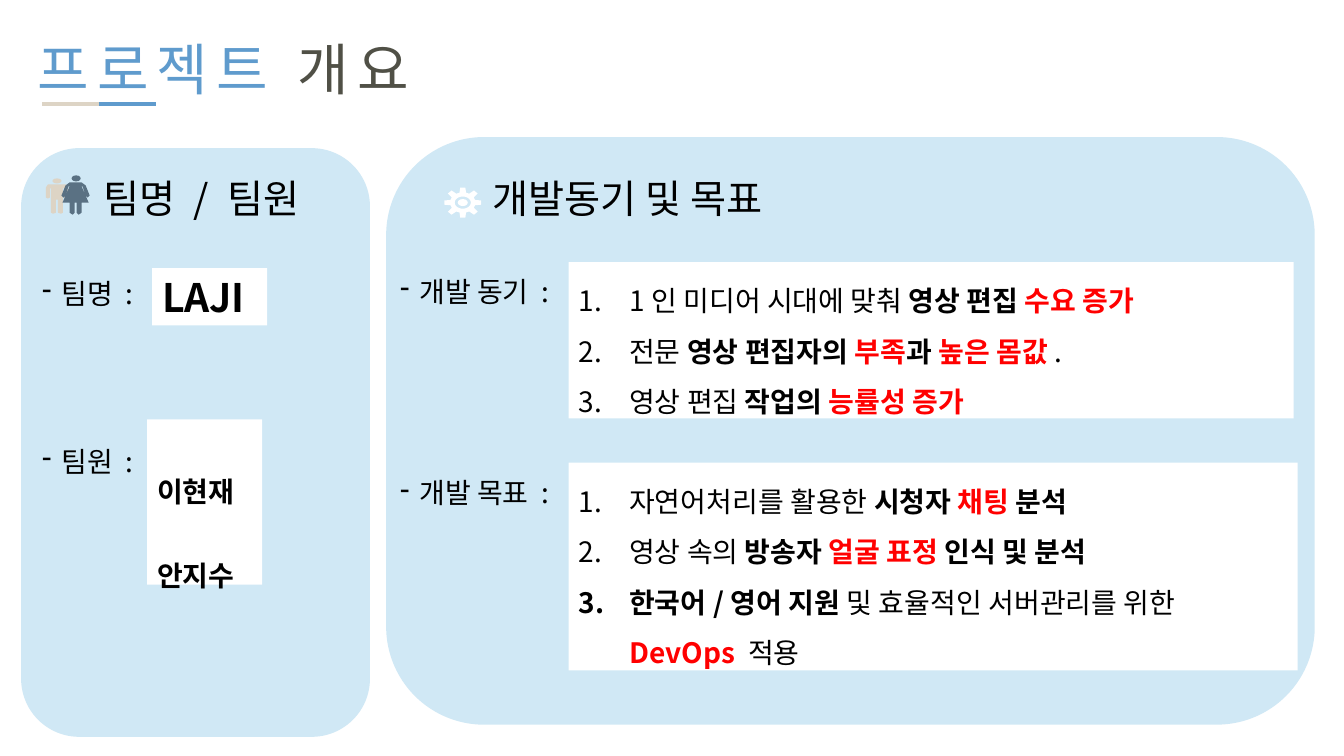
from math import cos, sin, pi

from lxml.etree import SubElement
from pptx import Presentation
from pptx.dml.color import RGBColor
from pptx.enum.shapes import MSO_CONNECTOR, MSO_SHAPE
from pptx.enum.text import MSO_ANCHOR, MSO_AUTO_SIZE, PP_ALIGN
from pptx.oxml.ns import qn
from pptx.util import Inches, Pt

# Content: a run is (text, style); styles are explained in THEME["runs"]
TITLE = [("프로젝트 ", "blue"), ("개요", "grey")]
HEADS = [("팀명 / 팀원", (0.93, 1.68, 2.26, 0.57)),
         ("개발동기 및 목표", (4.79, 1.68, 7.39, 0.57))]
# Labels, box, and the number of text lines between the two labels
LABELS = [(["팀명 :", "팀원 :"], (0.32, 2.69, 1.2, 2.12), 4),
          (["개발 동기 :", "개발 목표 :"], (3.87, 2.67, 1.79, 2.46), 5)]
TEAM = "LAJI"
MEMBERS = ["이현재", "안지수"]
MOTIVES = [
    [("1인 미디어 시대에 맞춰 ", "text"), ("영상 편집 ", "bold"), ("수요 증가", "red")],
    [("전문 ", "text"), ("영상 편집자의 ", "bold"), ("부족", "red"), ("과 ", "bold"),
     ("높은 몸값", "red"), (".", "text")],
    [("영상 편집 ", "text"), ("작업의 ", "bold"), ("능률성 증가", "red")],
]
GOALS = [
    [("자연어처리를 활용한 ", "text"), ("시청자 ", "bold"), ("채팅", "red"),
     (" 분석", "bold")],
    [("영상 속의 ", "text"), ("방송자 ", "bold"), ("얼굴 표정 ", "red"),
     ("인식 및 분석", "bold")],
    [("한국어/영어 지원 ", "bold"), ("및 효율적인 서버관리를 위한 ", "text"),
     ("DevOps ", "red"), ("적용", "text")],
]
CARDS = [(0.21, 1.47, 3.46, 5.84), (3.83, 1.36, 9.21, 5.83)]
LISTS = [(MOTIVES, (5.64, 2.6, 7.19, 1.55)), (GOALS, (5.64, 4.59, 7.23, 2.06))]

THEME = {
    "font": "Noto Sans CJK KR",
    "title": 40, "head": 28, "body": 20, "line": 24,
    "card": "D0E8F5", "white": "FFFFFF", "sand": "DDD4C5",
    "blue": "5F9BCD", "slate": "5A7183",
    "runs": {"text": ("000000", False), "bold": ("000000", True),
             "red": ("FF0000", True), "blue": ("5F9BCD", False),
             "grey": ("505046", False)},
}

# Icons: right half outline as (distance from the axis, y), then the head
MAN = (0.565, [(0.09, 1.83), (0.11, 1.86), (0.11, 1.96), (0.09, 1.97), (0.07, 1.96),
               (0.07, 1.87), (0.06, 1.87), (0.06, 2.11), (0.04, 2.12), (0.01, 2.11),
               (0.01, 1.98)], (0.52, 1.77, 0.09, 0.05), "sand")
WOMAN = (0.75, [(0.06, 1.81), (0.1, 1.84), (0.14, 1.94), (0.12, 1.96), (0.1, 1.94),
                (0.07, 1.85), (0.06, 1.85), (0.13, 2.01), (0.06, 2.01), (0.06, 2.11),
                (0.03, 2.13), (0.01, 2.11), (0.01, 2.01)],
         (0.71, 1.74, 0.09, 0.06), "slate")
GEAR = (4.59, 2.01)

deck = Presentation()
deck.slide_width, deck.slide_height = Inches(13.33), Inches(7.5)
slide = deck.slides.add_slide(deck.slide_layouts[3])
shapes = slide.shapes


def paint(shape, color):
    shape.shadow.inherit = False
    shape.fill.solid()
    shape.fill.fore_color.rgb = RGBColor.from_string(THEME[color])
    shape.line.fill.background()
    return shape


def block(kind, box, color):
    return paint(shapes.add_shape(kind, *map(Inches, box)), color)


def place(holder, box):
    """Move a placeholder to the box and to the front."""
    holder.left, holder.top, holder.width, holder.height = map(Inches, box)
    shapes.element.append(holder.element)
    return holder


def write(shape, paras, size="body", lead=1.0, gap=0, indent=0, mark=None, track=0):
    """Fill a shape; gap is the space between paragraphs in points."""
    frame = shape.text_frame
    frame.word_wrap = True
    frame.auto_size = MSO_AUTO_SIZE.NONE
    frame.vertical_anchor = MSO_ANCHOR.TOP
    for i, runs in enumerate(paras):
        para = frame.add_paragraph() if i else frame.paragraphs[0]
        para.alignment = PP_ALIGN.LEFT
        para.line_spacing = lead
        para.space_before = Pt(gap if i else 0)
        props = para._p.get_or_add_pPr()
        props.set("marL", str(Inches(indent)))
        props.set("indent", str(-Inches(indent)))
        if mark:
            tag, key, value = mark
            SubElement(props, qn(tag)).set(key, value)
        for text, style in runs:
            run = para.add_run()
            run.text = text
            color, bold = THEME["runs"][style]
            font = run.font
            font.size, font.bold, font.name = Pt(THEME[size]), bold, THEME["font"]
            font.color.rgb = RGBColor.from_string(color)
            SubElement(run._r.rPr, qn("a:ea")).set("typeface", THEME["font"])
            if track:
                run._r.rPr.set("spc", str(track * 100))


def label(box, paras, **form):
    write(shapes.add_textbox(*map(Inches, box)), paras, **form)


def outline(loops, color):
    """Draw closed loops of points in inches as one filled shape."""
    loops = [[(Inches(x), Inches(y)) for x, y in loop] for loop in loops]
    build = shapes.build_freeform(*loops[0][0])
    for i, loop in enumerate(loops):
        if i:
            build.move_to(*loop[0])
        build.add_line_segments(loop[1:], close=True)
    paint(build.convert_to_shape(), color)


def person(axis, half, head, color):
    right = [(axis + d, y) for d, y in half]
    left = [(axis - d, y) for d, y in reversed(half)]
    outline([right + left], color)
    block(MSO_SHAPE.OVAL, head, color)


def ring(turns, wide, high):
    x, y = GEAR
    return [(x + wide * cos(t), y + high * sin(t)) for t in turns]


def gear(teeth=8):
    rim = []
    for i in range(teeth):
        mid = 2 * pi * i / teeth
        for shift, reach in ((-0.26, 0.68), (-0.14, 1), (0.14, 1), (0.26, 0.68)):
            rim += ring([mid + shift], 0.185 * reach, 0.15 * reach)
    hole = ring([-2 * pi * i / 32 for i in range(32)], 0.08, 0.06)
    outline([rim, hole], "white")
    x, y = GEAR
    block(MSO_SHAPE.OVAL, (x - 0.05, y - 0.035, 0.1, 0.07), "white")


def rule(start, color, y=1.03, wide=0.565):
    line = shapes.add_connector(MSO_CONNECTOR.STRAIGHT, Inches(start), Inches(y),
                                Inches(start + wide), Inches(y))
    line.line.color.rgb = RGBColor.from_string(THEME[color])
    line.line.width = Pt(3)
    SubElement(line.element.spPr, qn("a:effectLst"))


title, *bodies = list(slide.placeholders)
for card in CARDS:
    block(MSO_SHAPE.ROUNDED_RECTANGLE, card, "card")
write(place(title, (0.27, 0.29, 4.34, 0.77)), [TITLE], size="title", track=6)
for i, color in enumerate(("sand", "blue")):
    rule(0.42 + i * 0.565, color)
for text, box in HEADS:
    label(box, [[(text, "text")]], size="head")
for names, box, lines in LABELS:
    label(box, [[(name, "text")] for name in names], gap=lines * THEME["line"],
          indent=0.19, mark=("a:buChar", "char", "-"))
person(*MAN)
person(*WOMAN)
gear()
write(block(MSO_SHAPE.RECTANGLE, (1.46, 4.16, 1.14, 1.64), "white"),
      [[(name, "bold")] for name in MEMBERS], lead=2.5)
write(block(MSO_SHAPE.RECTANGLE, (1.51, 2.66, 1.14, 0.57), "white"),
      [[(TEAM, "bold")]], size="head")
for body, (items, box) in zip(bodies, LISTS):
    write(paint(place(body, box), "white"), items, lead=1.5, indent=0.5,
          mark=("a:buAutoNum", "type", "arabicPeriod"))
deck.save("out.pptx")
